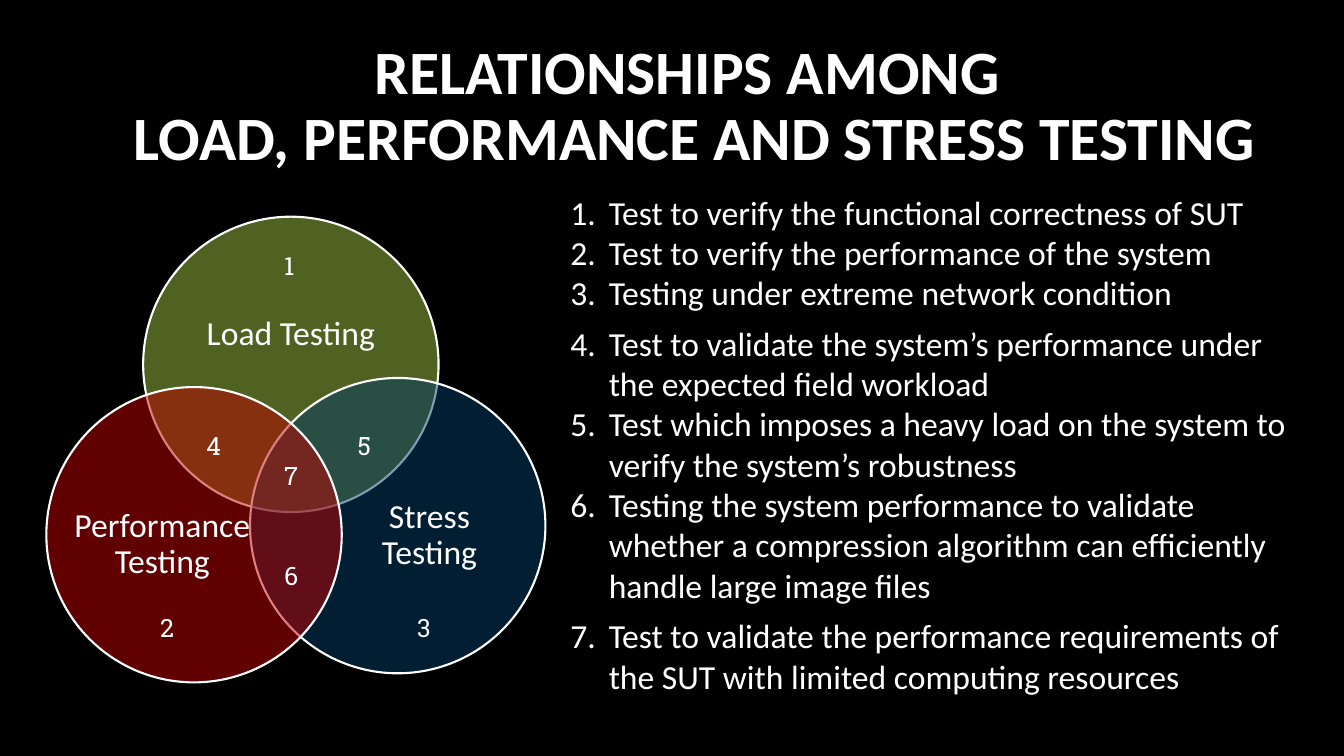
"""Build a slide that relates load, performance and stress testing."""
from lxml.etree import SubElement
from pptx import Presentation
from pptx.dml.color import RGBColor
from pptx.enum.shapes import MSO_SHAPE
from pptx.enum.text import MSO_ANCHOR, PP_ALIGN
from pptx.oxml.ns import qn
from pptx.util import Inches, Pt

BLACK, WHITE = "000000", "FFFFFF"
DIAMETER = 2.93
OPACITY = 50
INDENT = 0.38
GROUP_GAP = 7.3

TITLE = "RELATIONSHIPS AMONG\v LOAD, PERFORMANCE AND STRESS TESTING"
TITLE_BOX = (1.01, 0.34, 11.62, 1.45)
CIRCLES = [
    ("Load Testing", "9EC544", (1.42, 2.15), (1.81, 2.66, 2.15, 1.32)),
    ("Stress Testing", "043D66", (2.48, 3.75), (3.38, 4.51, 1.76, 1.61)),
    ("Performance Testing", "C00000", (0.46, 3.84), (0.73, 4.6, 1.76, 1.61)),
]
TEST_GROUPS = [
    ["Test to verify the functional correctness of SUT",
     "Test to verify the performance of the system",
     "Testing under extreme network condition"],
    ["Test to validate the system’s performance under the expected ﬁeld workload",
     "Test which imposes a heavy load on the system to verify the system’s robustness",
     "Testing the system performance to validate whether a compression algorithm "
     "can efﬁciently handle large image ﬁles"],
    ["Test to validate the performance requirements of the SUT with limited "
     "computing resources"],
]
TESTS_BOX = (5.56, 1.85, 7.53, 5.23)
REGION_SIZE = (0.33, 0.4)
REGIONS = {
    "4": (1.95, 4.22), "5": (3.45, 4.22), "1": (2.72, 2.43), "2": (1.49, 6.03),
    "3": (4.04, 6.03), "6": (2.72, 5.51), "7": (2.72, 4.52),
}

TITLE_FONT = {"name": "Calibri", "size": Pt(44), "bold": True}
BODY_FONT = {"name": "Calibri", "size": Pt(24)}
REGION_FONT = {"name": "Roboto Slab", "size": Pt(18)}
CENTERED = {"alignment": PP_ALIGN.CENTER, "line_spacing": 0.9}
MIDDLE = {"vertical_anchor": MSO_ANCHOR.MIDDLE}
NO_MARGINS = {f"margin_{side}": 0 for side in ("left", "top", "right", "bottom")}


def paint(color_format, color):
    color_format.rgb = RGBColor.from_string(color)


def apply(target, values):
    for key, value in values.items():
        setattr(target, key, value)


def add_text(slide, box, lines, font, paragraph_format={}, frame_format={}):
    frame = slide.shapes.add_textbox(*map(Inches, box)).text_frame
    apply(frame, {"word_wrap": True, **frame_format})
    frame.text = "\n".join(lines)
    for paragraph in frame.paragraphs:
        apply(paragraph, paragraph_format)
        for run in paragraph.runs:
            apply(run.font, font)
            paint(run.font.color, WHITE)
    return frame.paragraphs


def add_circle(slide, corner, color):
    circle = slide.shapes.add_shape(
        MSO_SHAPE.OVAL, *map(Inches, (*corner, DIAMETER, DIAMETER)))
    circle.shadow.inherit = False
    circle.fill.solid()
    paint(circle.fill.fore_color, color)
    fill_color = circle._element.spPr.find(qn("a:solidFill"))[0]
    SubElement(fill_color, qn("a:alpha"), val=str(OPACITY * 1000))
    paint(circle.line.color, WHITE)
    circle.line.width = Pt(1.5)


def add_tests(slide):
    tests = [test for group in TEST_GROUPS for test in group]
    group_starts = [group[0] for group in TEST_GROUPS[1:]]
    for paragraph in add_text(slide, TESTS_BOX, tests, BODY_FONT):
        if paragraph.text in group_starts:
            paragraph.space_before = Pt(GROUP_GAP)
        properties = paragraph._p.get_or_add_pPr()
        properties.set("marL", str(Inches(INDENT)))
        properties.set("indent", str(-Inches(INDENT)))
        SubElement(properties, qn("a:buFont"), typeface="+mj-lt")
        SubElement(properties, qn("a:buAutoNum"), type="arabicPeriod")


def main():
    deck = Presentation()
    apply(deck, {"slide_width": Inches(13.33), "slide_height": Inches(7.5)})
    slide = deck.slides.add_slide(deck.slide_layouts[6])
    slide.background.fill.solid()
    paint(slide.background.fill.fore_color, BLACK)

    add_text(slide, TITLE_BOX, [TITLE], TITLE_FONT, CENTERED, MIDDLE)
    for label, color, corner, label_box in CIRCLES:
        add_circle(slide, corner, color)
        add_text(slide, label_box, [label], BODY_FONT, CENTERED,
                 {**MIDDLE, **NO_MARGINS})
    add_tests(slide)
    for region, corner in REGIONS.items():
        add_text(slide, (*corner, *REGION_SIZE), [region], REGION_FONT)
    deck.save("out.pptx")


if __name__ == "__main__":
    main()
